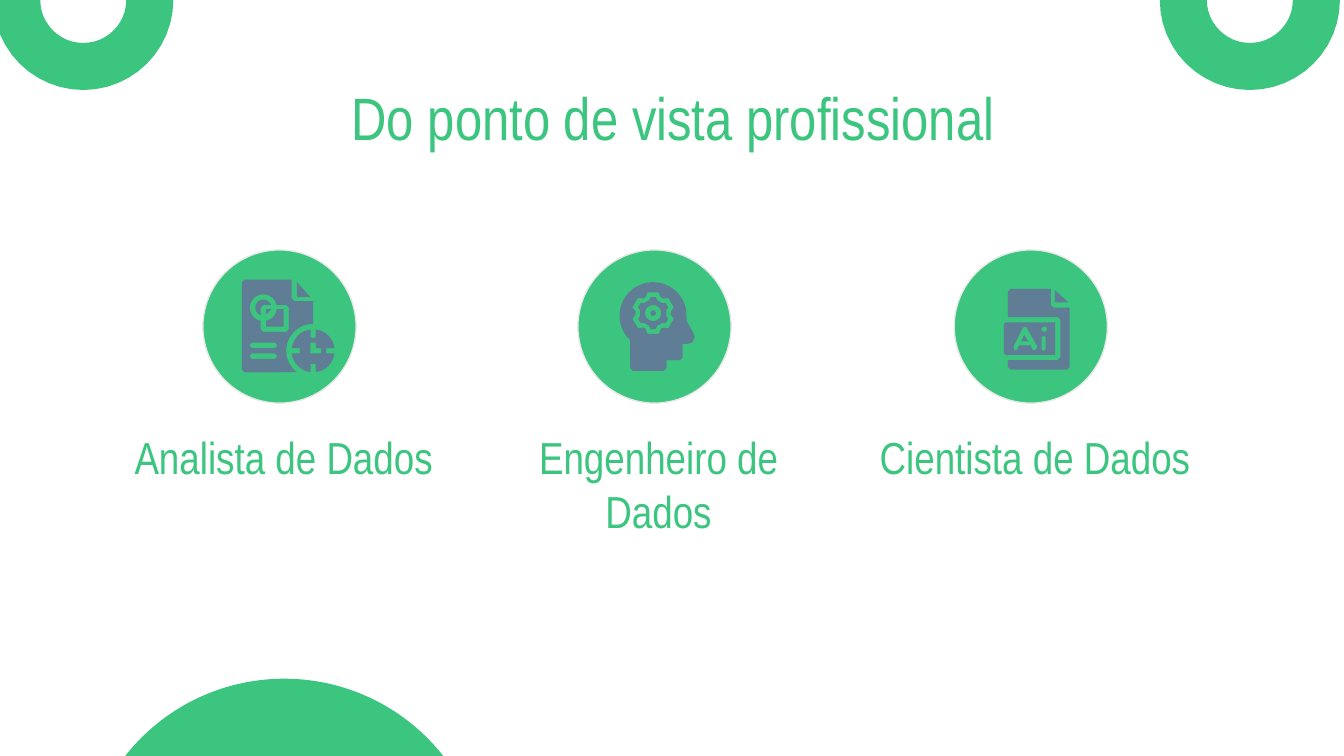
from dataclasses import dataclass
from math import cos, radians, sin

from pptx import Presentation
from pptx.dml.color import RGBColor
from pptx.enum.shapes import MSO_SHAPE
from pptx.enum.text import MSO_ANCHOR, MSO_AUTO_SIZE, PP_ALIGN
from pptx.util import Inches, Pt


@dataclass(frozen=True)
class Theme:
    green: RGBColor = RGBColor(0x3B, 0xC5, 0x7F)
    slate: RGBColor = RGBColor(0x5F, 0x7D, 0x95)
    rim: RGBColor = RGBColor(0xE8, 0xE8, 0xE8)
    font: str = "Arial Narrow"
    title_size: Pt = Pt(32)
    role_size: Pt = Pt(24)


THEME = Theme()


def arc(cx, cy, radius, start=0, end=360, steps=24):
    """Points along an arc; degrees run clockwise from the right."""
    angles = [radians(start + (end - start) * i / steps) for i in range(steps + 1)]
    return [(cx + radius * cos(a), cy + radius * sin(a)) for a in angles]


def pill(left, top, right, bottom):
    radius, middle = (bottom - top) / 2, (top + bottom) / 2
    return (arc(left + radius, middle, radius, 90, 270, 8)
            + arc(right - radius, middle, radius, -90, 90, 8))


def gear(cx, cy, tip, root, tip_half, root_half):
    """Six teeth, given their radii and half angles at tip and root."""
    outline = []
    for tooth in range(-90, 270, 60):
        for radius, offset in ((root, -root_half), (tip, -tip_half),
                               (tip, tip_half), (root, root_half)):
            outline += arc(cx, cy, radius, tooth + offset, tooth + offset, 1)[:1]
    return outline


def clock_face(cx, cy):
    """A disc with a notch at each quarter."""
    outline = []
    for quarter in range(0, 360, 90):
        outline += arc(cx, cy, 0.16, quarter + 7, quarter + 83, 8)
        outline += arc(cx, cy, 0.1, quarter + 79, quarter + 101, 1)
    return outline


def analyst_icon():
    ring, clock = (1.96, 2.29), (2.33, 2.61)
    page = ([(1.82, 2.08), (2.17, 2.08), (2.17, 2.22), (2.19, 2.24), (2.33, 2.24)]
            + arc(*clock, 0.2, 270, 127)
            + [(1.82, 2.77), (1.8, 2.75), (1.8, 2.1)])
    ring_and_square = arc(*ring, 0.1, 101, 349) + [
        (2.13, 2.27), (2.15, 2.29), (2.15, 2.45), (2.13, 2.47), (1.96, 2.47), (1.94, 2.45)]
    text_lines = [pill(1.86, top, 2.06, top + 0.04) for top in (2.55, 2.63)]
    hands = [(2.31, 2.55), (2.35, 2.55), (2.35, 2.59), (2.39, 2.59), (2.39, 2.63), (2.31, 2.63)]
    return [
        [clock_face(*clock), hands],
        [[(2.21, 2.1), (2.21, 2.21), (2.31, 2.21)]],
        [[(1.98, 2.3), (1.98, 2.34), (2.02, 2.3)]],
        [arc(*ring, 0.06, 109, 341) + [(1.96, 2.27), (1.94, 2.29)]],
        [arc(*ring, 0.1, 6, 79, 8) + [(1.98, 2.43), (2.11, 2.43), (2.11, 2.3)]],
        [page, ring_and_square, *text_lines],
    ]


def engineer_icon():
    hub = (4.86, 2.33)
    head = arc(4.86, 2.35, 0.25, 133, 349) + [
        (5.11, 2.39), (5.16, 2.48), (5.17, 2.51), (5.15, 2.55), (5.11, 2.56),
        (5.08, 2.56), (5.08, 2.66), (5.06, 2.68), (4.96, 2.68), (4.96, 2.74),
        (4.94, 2.76), (4.71, 2.76), (4.69, 2.74)]
    return [
        [head, gear(*hub, 0.16, 0.13, 15, 26)],
        [gear(*hub, 0.12, 0.1, 9, 18), arc(*hub, 0.06)],
        [arc(*hub, 0.02)],
    ]


def scientist_icon():
    page = [(7.52, 2.15), (7.82, 2.15), (7.82, 2.27), (7.84, 2.29), (7.96, 2.29),
            (7.96, 2.73), (7.94, 2.75), (7.52, 2.75), (7.5, 2.73), (7.5, 2.68),
            (7.87, 2.68), (7.89, 2.66), (7.89, 2.38), (7.87, 2.36), (7.5, 2.36),
            (7.5, 2.17)]
    panel = [(7.48, 2.4), (7.85, 2.4), (7.85, 2.64), (7.48, 2.64), (7.47, 2.63), (7.47, 2.41)]
    letter_a = [(7.61, 2.44), (7.63, 2.43), (7.64, 2.44), (7.72, 2.58), (7.7, 2.61),
                (7.68, 2.6), (7.67, 2.57), (7.58, 2.57), (7.57, 2.6), (7.55, 2.61),
                (7.54, 2.58)]
    letter_i = [(7.75, 2.51), (7.76, 2.5), (7.77, 2.5), (7.78, 2.51),
                (7.78, 2.6), (7.77, 2.61), (7.76, 2.61), (7.75, 2.6)]
    return [
        [[(7.62, 2.49), (7.6, 2.54), (7.65, 2.54)]],
        [[(7.85, 2.16), (7.85, 2.25), (7.95, 2.25)]],
        [page],
        [panel, letter_a, letter_i, arc(7.77, 2.45, 0.02)],
    ]


def paint(shape, color):
    shape.shadow.inherit = False
    shape.fill.solid()
    shape.fill.fore_color.rgb = color
    shape.line.fill.background()


def add_outline(shapes, contours, color):
    """Draw the first contour; the others are holes in it."""
    first, *holes = [[(Inches(x), Inches(y)) for x, y in contour] for contour in contours]
    builder = shapes.build_freeform(*first[0])
    builder.add_line_segments(first[1:], close=True)
    for hole in holes:
        builder.move_to(*hole[0])
        builder.add_line_segments(hole[1:], close=True)
    paint(builder.convert_to_shape(), color)


def add_icon(slide, parts):
    icon = slide.shapes.add_group_shape()
    for contours in parts:
        add_outline(icon.shapes, contours, THEME.slate)


def add_disc(slide, left, top, size):
    disc = slide.shapes.add_shape(
        MSO_SHAPE.OVAL, Inches(left), Inches(top), Inches(size), Inches(size))
    paint(disc, THEME.green)
    return disc


def add_corner_ring(slide, cx):
    half_ring = arc(cx, 0, 0.67, 0, 180) + arc(cx, 0, 0.32, 180, 0)
    add_outline(slide.shapes, [half_ring], THEME.green)


def set_heading(box, wording, size, left, top, width):
    box.left, box.top = Inches(left), Inches(top)
    box.width, box.height = Inches(width), Inches(0.63)
    frame = box.text_frame
    frame.word_wrap = True
    frame.auto_size = MSO_AUTO_SIZE.NONE
    frame.vertical_anchor = MSO_ANCHOR.TOP
    frame.margin_left = frame.margin_right = Inches(0.1)
    frame.margin_top = frame.margin_bottom = Inches(0.1)
    paragraph = frame.paragraphs[0]
    paragraph.text = wording
    paragraph.alignment = PP_ALIGN.CENTER
    paragraph.font.name = THEME.font
    paragraph.font.size = size
    paragraph.font.color.rgb = THEME.green


def add_role(slide, left, role, icon_parts):
    label = slide.shapes.add_textbox(0, 0, 0, 0)
    set_heading(label, role, THEME.role_size, left, 3.1, 2.58)
    badge = add_disc(slide, left + 0.69, 1.86, 1.14)
    badge.line.color.rgb = THEME.rim
    badge.line.width = Pt(0.75)
    add_icon(slide, icon_parts)


def main():
    deck = Presentation()
    deck.slide_width = Inches(10)
    deck.slide_height = deck.slide_width * 9 // 16
    slide = deck.slides.add_slide(deck.slide_layouts[5])

    for cx in (0.62, 9.3):
        add_corner_ring(slide, cx)
    add_disc(slide, 0.61, 5.05, 3.01)
    set_heading(slide.shapes.title, "Do ponto de vista profissional",
                THEME.title_size, 0.85, 0.5, 8.32)

    roles = (
        (0.82, "Analista de Dados", analyst_icon()),
        (3.61, "Engenheiro de Dados", engineer_icon()),
        (6.41, "Cientista de Dados", scientist_icon()),
    )
    for left, role, icon_parts in roles:
        add_role(slide, left, role, icon_parts)
    deck.save("out.pptx")


if __name__ == "__main__":
    main()
